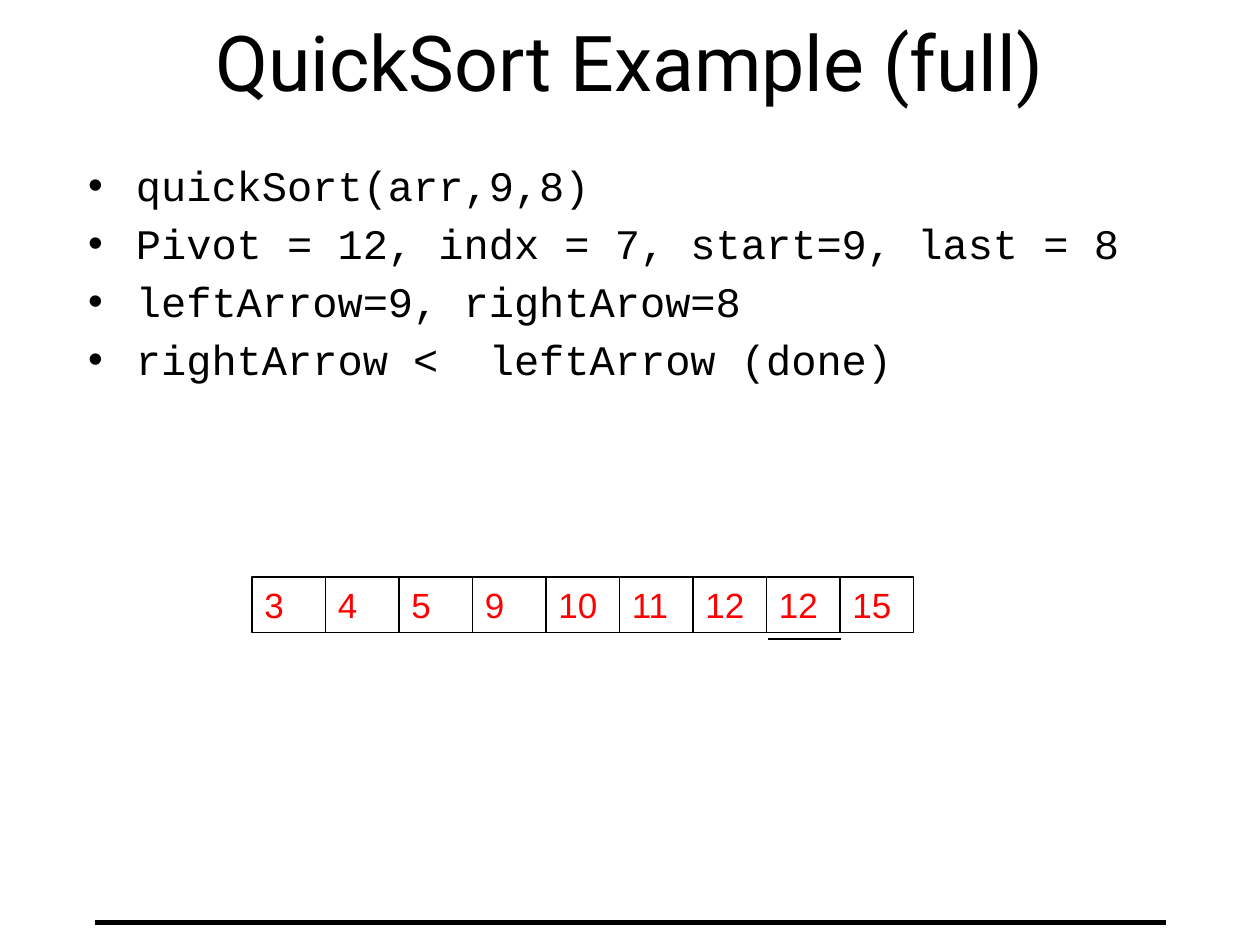
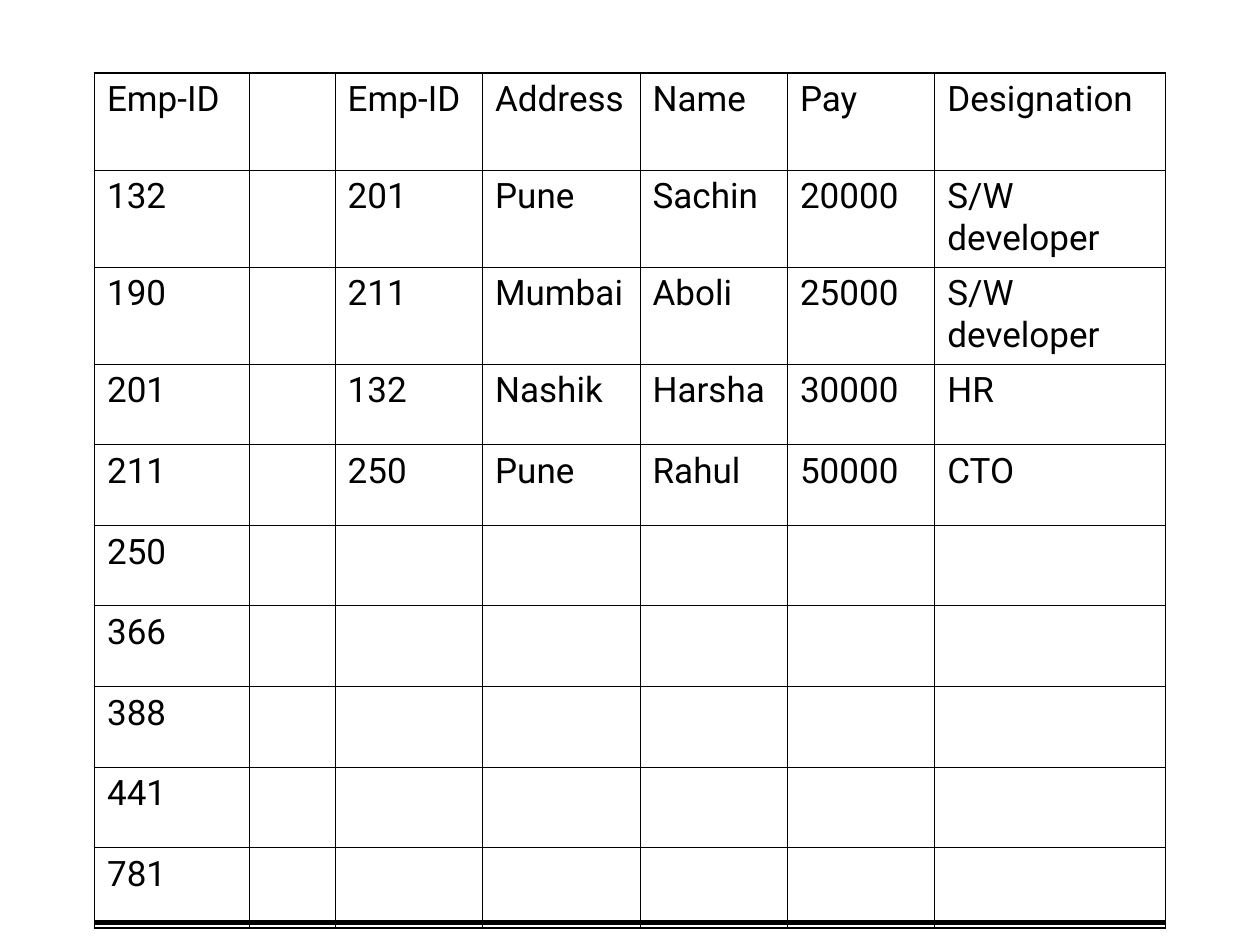
import pptx
import pptx.util
import pptx.dml.color
import pptx.enum.shapes
import pptx.enum.text
import pptx.oxml
import pptx.oxml.ns
from lxml import etree

Inches = pptx.util.Inches
Pt = pptx.util.Pt
Align = pptx.enum.text.PP_ALIGN
Anchor = pptx.enum.text.MSO_ANCHOR
Size = pptx.enum.text.MSO_AUTO_SIZE
Kind = pptx.enum.shapes.MSO_SHAPE
Link = pptx.enum.shapes.MSO_CONNECTOR

BLACK = "000000"
RED = "FF0000"
TITLE = {"name": "Roboto", "size": Pt(44)}
CODE = {"name": "Courier New", "size": Pt(24)}
VALUE = {"name": "Arial", "size": Pt(20)}
CELL = {"name": "Roboto", "size": Pt(20)}

STEPS = [
    "quickSort(arr,9,8)",
    "Pivot = 12, indx = 7, start=9, last = 8",
    "leftArrow=9, rightArow=8",
    "rightArrow <  leftArrow (done)",
]
VALUES = [3, 4, 5, 9, 10, 11, 12, 12, 15]
PIVOT = 7
HEADS = ["Emp-ID", "", "Emp-ID", "Address", "Name", "Pay", "Designation"]
KEYS = [132, 190, 201, 211, 250, 366, 388, 441, 781]
STAFF = [
    ["201", "Pune", "Sachin", "20000", "S/W developer"],
    ["211", "Mumbai", "Aboli", "25000", "S/W developer"],
    ["132", "Nashik", "Harsha", "30000", "HR"],
    ["250", "Pune", "Rahul", "50000", "CTO"],
]
WIDTHS = [1.23, 0.68, 1.17, 1.25, 1.17, 1.17, 1.83]
HEIGHTS = [0.77] * 3 + [0.64] * 7


def color(code):
    return pptx.dml.color.RGBColor.from_string(code)


def apply(target, style):
    for name, value in style.items():
        setattr(target, name, value)


def write(para, text, font, code=BLACK, **style):
    apply(para, style)
    run = para.add_run()
    run.text = text
    apply(run.font, font)
    run.font.color.rgb = color(code)


def rule(shapes, left, right, top, width):
    line = shapes.add_connector(
        Link.STRAIGHT, Inches(left), Inches(top), Inches(right), Inches(top))
    line.line.color.rgb = color(BLACK)
    line.line.width = Pt(width)
    etree.SubElement(line.element.spPr, pptx.oxml.ns.qn("a:effectLst"))


def frame(slide, left, top, width, height, **style):
    box = slide.shapes.add_textbox(
        Inches(left), Inches(top), Inches(width), Inches(height))
    apply(box.text_frame, {"word_wrap": True, **style})
    return box.text_frame


def page(deck):
    slide = deck.slides.add_slide(deck.slide_layouts[6])
    rule(slide.shapes, 0.75, 9.25, 7.32, 3)
    return slide


def title(slide, text):
    body = frame(slide, 0.75, 0, 8.5, 0.96, vertical_anchor=Anchor.MIDDLE)
    write(body.paragraphs[0], text, TITLE, alignment=Align.CENTER)


def bullet(para):
    props = para._p.get_or_add_pPr()
    props.set("marL", str(Inches(0.38)))
    props.set("indent", str(-Inches(0.38)))
    for tag, name, value in [("buFont", "typeface", "Arial"), ("buChar", "char", "•")]:
        etree.SubElement(props, pptx.oxml.ns.qn("a:" + tag)).set(name, value)


def listing(slide, lines):
    body = frame(slide, 0.6, 1.26, 9.42, 5.56)
    for index, text in enumerate(lines):
        para = body.add_paragraph() if index else body.paragraphs[0]
        bullet(para)
        write(para, text, CODE, alignment=Align.JUSTIFY, line_spacing=0.9,
              space_before=Pt(7.2 if index else 0))


def array(slide, values, pivot):
    left, top, width, height = 2, 4.58, 7 / 12, 0.44
    group = slide.shapes.add_group_shape()
    for index, value in enumerate(values):
        box = group.shapes.add_shape(
            Kind.RECTANGLE, Inches(left + index * width), Inches(top),
            Inches(width), Inches(height))
        box.shadow.inherit = False
        box.fill.background()
        box.line.color.rgb = color(BLACK)
        box.line.width = Pt(1)
        apply(box.text_frame, {"word_wrap": True, "vertical_anchor": Anchor.TOP,
                               "auto_size": Size.SHAPE_TO_FIT_TEXT})
        write(box.text_frame.paragraphs[0], str(value), VALUE, RED,
              alignment=Align.LEFT)
    start = left + pivot * width + 0.01
    rule(group.shapes, start, start + width, 5.07, 1)


def border(cell, sides):
    props = cell._tc.get_or_add_tcPr()
    for side, outer in sides.items():
        width = Pt(1.08 if outer else 0.45)
        props.append(pptx.oxml.parse_xml(
            f'<a:ln{side} {pptx.oxml.ns.nsdecls("a")} w="{width}"><a:solidFill>'
            f'<a:srgbClr val="{BLACK}"/></a:solidFill></a:ln{side}>'))
    cell.fill.background()


def grid(slide, rows):
    table = slide.shapes.add_table(
        len(rows), len(WIDTHS), Inches(0.75), Inches(0.58),
        Inches(sum(WIDTHS)), Inches(sum(HEIGHTS))).table
    apply(table, {"first_row": False, "horz_banding": False})
    for column, width in zip(table.columns, WIDTHS):
        column.width = Inches(width)
    for r, row in enumerate(rows):
        table.rows[r].height = Inches(HEIGHTS[r])
        for c, text in enumerate(row):
            cell = table.cell(r, c)
            border(cell, {"L": c == 0, "R": c == len(row) - 1,
                          "T": r == 0, "B": r == len(rows) - 1})
            if text:
                write(cell.text_frame.paragraphs[0], text, CELL)


def main():
    deck = pptx.Presentation()
    apply(deck, {"slide_width": Inches(10), "slide_height": Inches(7.5)})

    slide = page(deck)
    title(slide, "QuickSort Example (full)")
    listing(slide, STEPS)
    array(slide, VALUES, PIVOT)

    staff = STAFF + [[""] * 5] * (len(KEYS) - len(STAFF))
    rows = [[str(key), "", *person] for key, person in zip(KEYS, staff)]
    grid(page(deck), [HEADS] + rows)

    deck.save("out.pptx")


if __name__ == "__main__":
    main()
